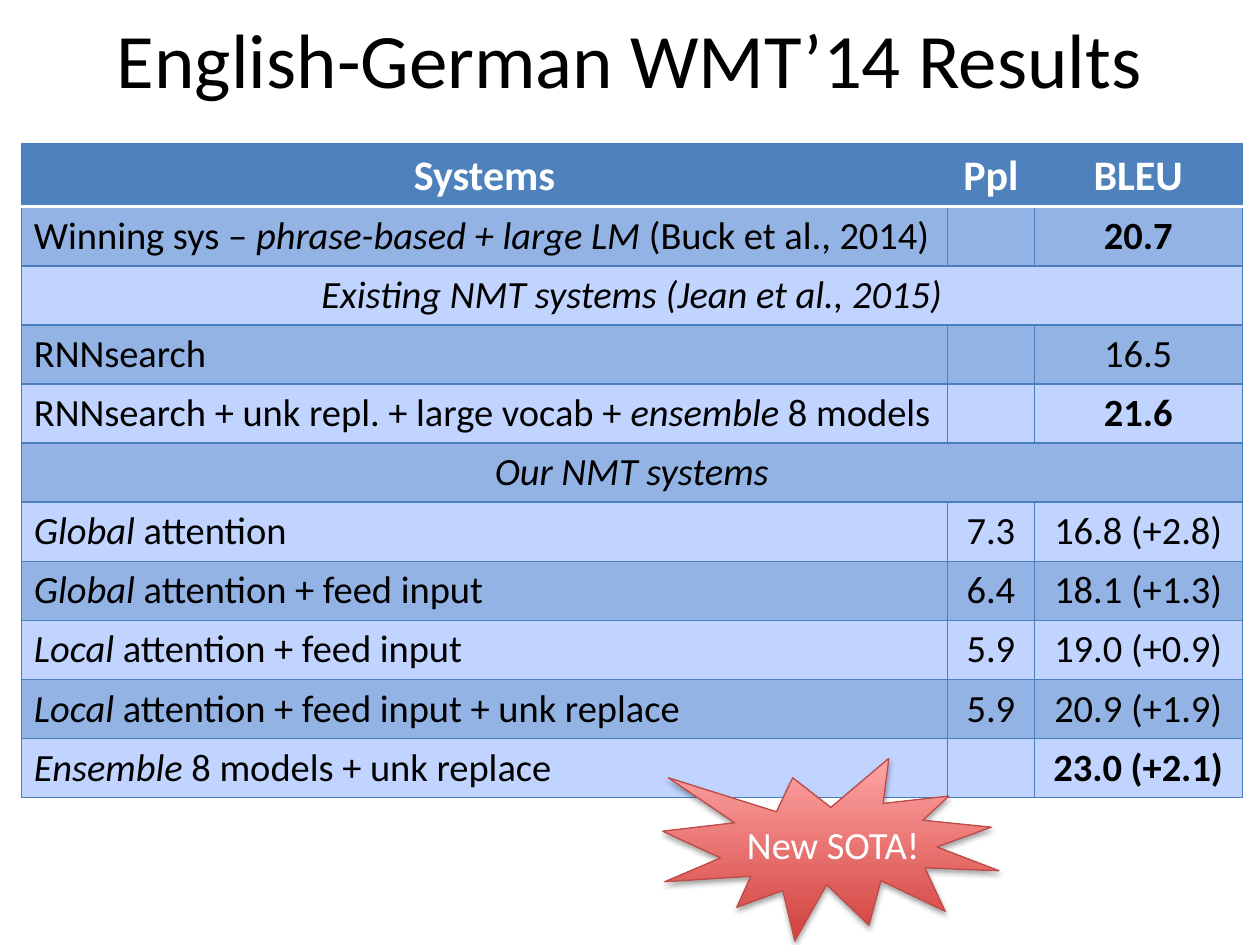
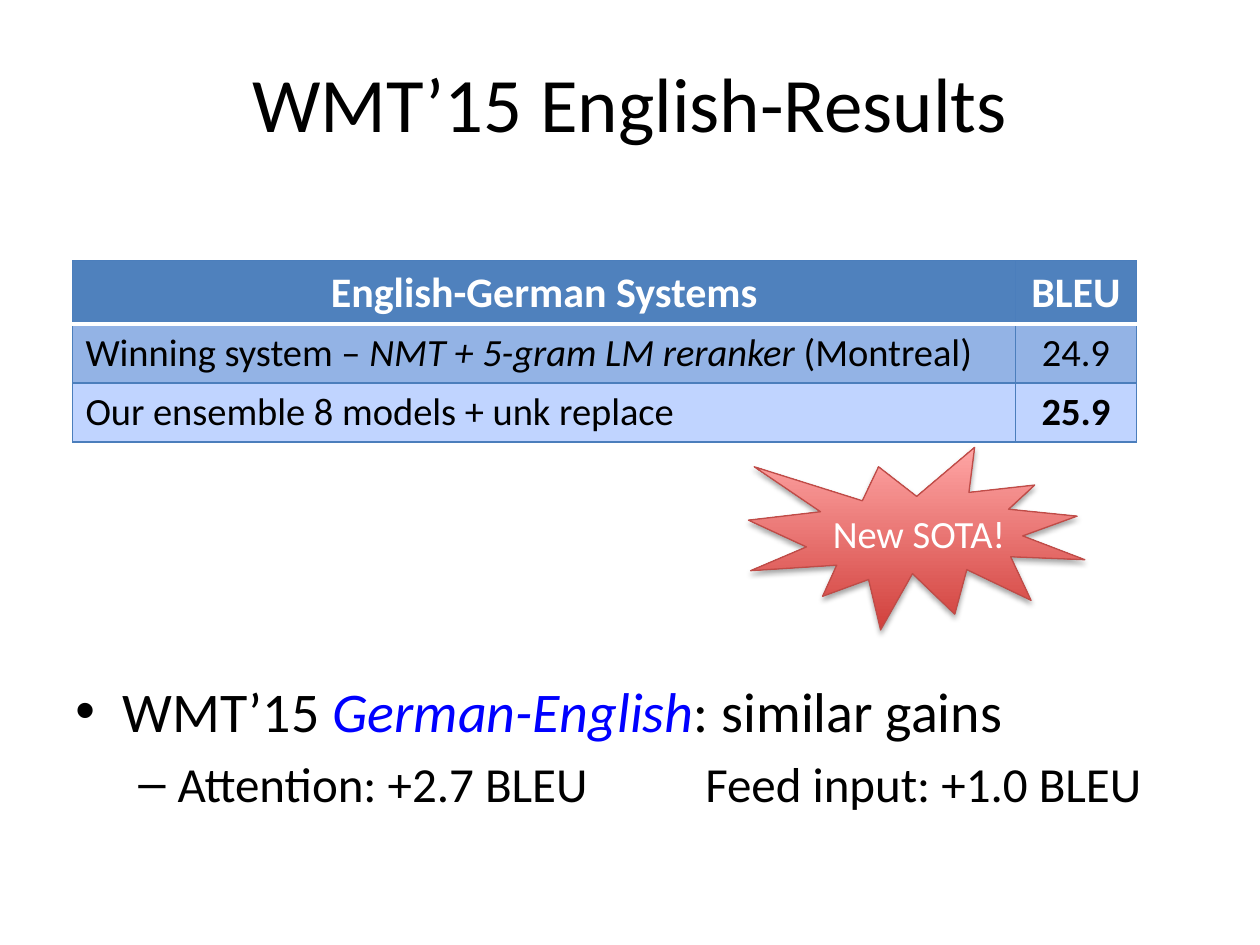
from dataclasses import dataclass

from lxml import etree
from pptx import Presentation
from pptx.dml.color import RGBColor
from pptx.enum.shapes import MSO_SHAPE
from pptx.enum.text import MSO_ANCHOR, PP_ALIGN
from pptx.oxml.ns import qn
from pptx.util import Cm, Pt

BLACK = RGBColor(0x00, 0x00, 0x00)
WHITE = RGBColor(0xFF, 0xFF, 0xFF)
BLUE = RGBColor(0x00, 0x00, 0xFF)
HEADER_FILL = RGBColor(0x4F, 0x81, 0xBD)
BAND_FILLS = (RGBColor(0x93, 0xB3, 0xE5), RGBColor(0xC0, 0xD4, 0xFF))
GRID = RGBColor(0x4B, 0x7E, 0xBC)
SEAL_STOPS = (RGBColor(0xD1, 0x40, 0x3C), RGBColor(0xFF, 0xA6, 0xA5))
SEAL_LINE = RGBColor(0xBF, 0x4C, 0x48)

FONT = "Calibri"
SEAL = MSO_SHAPE.EXPLOSION1
MIDDLE, TOP = MSO_ANCHOR.MIDDLE, MSO_ANCHOR.TOP
CENTER, LEFT = PP_ALIGN.CENTER, PP_ALIGN.LEFT
HEADER_HEIGHT, ROW_HEIGHT = Cm(1.27), Cm(1.19)


@dataclass
class Row:
    """One result; a row without scores is a heading across the table."""
    system: str
    scores: tuple[str, ...] = ()
    best: bool = False


@dataclass
class Results:
    left: float
    top: float
    widths: tuple[float, ...]
    header: tuple[str, ...]
    rows: tuple[Row, ...]


@dataclass
class Bullet:
    text: str
    mark: str
    size: int
    margin: float
    hanging: float
    before: float = 0


WMT14 = Results(0.43, 2.9, (18.67, 1.75, 4.19), ("Systems", "Ppl", "BLEU"), (
    Row("Winning sys – *phrase-based + large LM* (Buck et al., 2014)", ("", "20.7"), True),
    Row("*Existing NMT systems (Jean et al., 2015)*"),
    Row("RNNsearch", ("", "16.5")),
    Row("RNNsearch + unk repl. + large vocab + *ensemble* 8 models", ("", "21.6"), True),
    Row("*Our NMT systems*"),
    Row("*Global* attention", ("7.3", "16.8 (+2.8)")),
    Row("*Global* attention + feed input", ("6.4", "18.1 (+1.3)")),
    Row("*Local* attention + feed input", ("5.9", "19.0 (+0.9)")),
    Row("*Local* attention + feed input + unk replace", ("5.9", "20.9 (+1.9)")),
    Row("*Ensemble* 8 models + unk replace", ("", "23.0 (+2.1)"), True),
))
WMT15 = Results(1.47, 5.26, (19, 2.44), ("English-German Systems", "BLEU"), (
    Row("Winning system – *NMT + 5-gram LM reranker* (Montreal)", ("24.9",)),
    Row("Our ensemble 8 models + unk replace", ("25.9",), True),
))
GAINS = (
    Bullet("WMT’15 *German-English*: similar gains", "•", 32, 0.95, 0.95),
    Bullet("Attention: +2.7 BLEU\t\tFeed input: +1.0 BLEU", "–", 28, 2.06, 0.79, 5.6),
)


def write(para, text: str, size: int, color=BLACK, bold=False, accent=None) -> None:
    """Fill a paragraph; parts between asterisks are italic."""
    for index, part in enumerate(text.split("*")):
        if not part:
            continue
        span = para.add_run()
        span.text = part
        italic = index % 2 == 1
        formats = {"name": FONT, "size": Pt(size), "bold": bold, "italic": italic}
        for name, value in formats.items():
            setattr(span.font, name, value)
        span.font.color.rgb = accent if italic and accent else color


def add_title(page, text: str, top: float) -> None:
    box = page.shapes.add_textbox(Cm(1.27), Cm(top), Cm(22.86), Cm(3.18))
    box.text_frame.word_wrap = True
    box.text_frame.vertical_anchor = MIDDLE
    para = box.text_frame.paragraphs[0]
    para.alignment = CENTER
    write(para, text, 44)


def set_border(cell, side: str, color: RGBColor, points: float) -> None:
    line = etree.SubElement(cell._tc.get_or_add_tcPr(), qn(f"a:ln{side}"), w=str(Pt(points)))
    fill = etree.SubElement(line, qn("a:solidFill"))
    etree.SubElement(fill, qn("a:srgbClr"), val=str(color))


def fill_cell(cell, row: int, text: str, centered: bool, bold: bool) -> None:
    """Row 0 is the header; the others take the two band colours in turn."""
    white_sides = {0: "B", 1: "T"}.get(row, "")
    for side in "LRTB":
        if side in white_sides:
            set_border(cell, side, WHITE, 2)
        else:
            set_border(cell, side, GRID, 0.75)
    cell.fill.solid()
    cell.fill.fore_color.rgb = BAND_FILLS[(row - 1) % 2] if row else HEADER_FILL
    cell.vertical_anchor = TOP if row else MIDDLE
    para = cell.text_frame.paragraphs[0]
    para.alignment = CENTER if centered else LEFT
    write(para, text, 22 if row else 24, BLACK if row else WHITE, bold)


def add_results(page, results: Results) -> None:
    count, columns = len(results.rows) + 1, len(results.widths)
    table = page.shapes.add_table(
        count, columns, Cm(results.left), Cm(results.top), Cm(sum(results.widths)),
        HEADER_HEIGHT + ROW_HEIGHT * (count - 1)).table
    for column, width in zip(table.columns, results.widths):
        column.width = Cm(width)
    for index, line in enumerate(table.rows):
        line.height = ROW_HEIGHT if index else HEADER_HEIGHT

    for column, text in enumerate(results.header):
        fill_cell(table.cell(0, column), 0, text, True, True)
    for index, row in enumerate(results.rows, 1):
        heading = not row.scores
        texts = (row.system,) + (row.scores or ("",) * (columns - 1))
        for column, text in enumerate(texts):
            bold = row.best and column == columns - 1
            fill_cell(table.cell(index, column), index, text, heading or column > 0, bold)
        if heading:
            table.cell(index, 0).merge(table.cell(index, columns - 1))


def add_seal(page, left: float, top: float) -> None:
    seal = page.shapes.add_shape(SEAL, Cm(left), Cm(top), Cm(6.78), Cm(3.68))
    seal.fill.gradient()
    seal.fill.gradient_angle = 90
    for position, (stop, color) in enumerate(zip(seal.fill.gradient_stops, SEAL_STOPS)):
        stop.position = position
        stop.color.rgb = color
    seal.line.color.rgb = SEAL_LINE
    seal.line.width = Pt(0.75)

    # Soft shadow below the seal
    seal.shadow.inherit = False
    effects = seal._element.spPr.find(qn("a:effectLst"))
    shadow = etree.SubElement(effects, qn("a:outerShdw"), blurRad=str(Pt(3.1)),
                              dist=str(Pt(1.8)), dir="5400000", rotWithShape="0")
    color = etree.SubElement(shadow, qn("a:srgbClr"), val=str(BLACK))
    etree.SubElement(color, qn("a:alpha"), val="35000")

    frame = seal.text_frame
    formats = {"margin_left": Cm(0.18), "margin_right": 0, "margin_top": 0,
               "margin_bottom": 0, "vertical_anchor": MIDDLE, "word_wrap": True}
    for name, value in formats.items():
        setattr(frame, name, value)
    frame.paragraphs[0].alignment = CENTER
    write(frame.paragraphs[0], "New SOTA!", 22, WHITE)


def add_bullets(page, bullets: tuple[Bullet, ...]) -> None:
    box = page.shapes.add_textbox(Cm(1.27), Cm(13.51), Cm(22.86), Cm(3.66))
    frame = box.text_frame
    frame.word_wrap = True
    for index, bullet in enumerate(bullets):
        para = frame.add_paragraph() if index else frame.paragraphs[0]
        if bullet.before:
            para.space_before = Pt(bullet.before)
        properties = para._p.get_or_add_pPr()
        formats = {"marL": Cm(bullet.margin), "indent": -Cm(bullet.hanging),
                   "defTabSz": Cm(1.27)}
        for name, value in formats.items():
            properties.set(name, str(value))
        etree.SubElement(properties, qn("a:buFont"), typeface="Arial")
        etree.SubElement(properties, qn("a:buChar"), char=bullet.mark)
        write(para, bullet.text, bullet.size, accent=BLUE)


def main() -> None:
    deck = Presentation()
    deck.slide_width, deck.slide_height = Cm(25.4), Cm(19.05)
    blank = deck.slide_layouts[6]

    # WMT'14 results
    page = deck.slides.add_slide(blank)
    add_title(page, "English-German WMT’14 Results", -0.43)
    add_results(page, WMT14)
    add_seal(page, 13.36, 15.29)

    # WMT'15 results
    page = deck.slides.add_slide(blank)
    add_title(page, "WMT’15 English-Results", 0.46)
    add_bullets(page, GAINS)
    add_results(page, WMT15)
    add_seal(page, 15.09, 9.02)

    deck.save("out.pptx")


if __name__ == "__main__":
    main()
